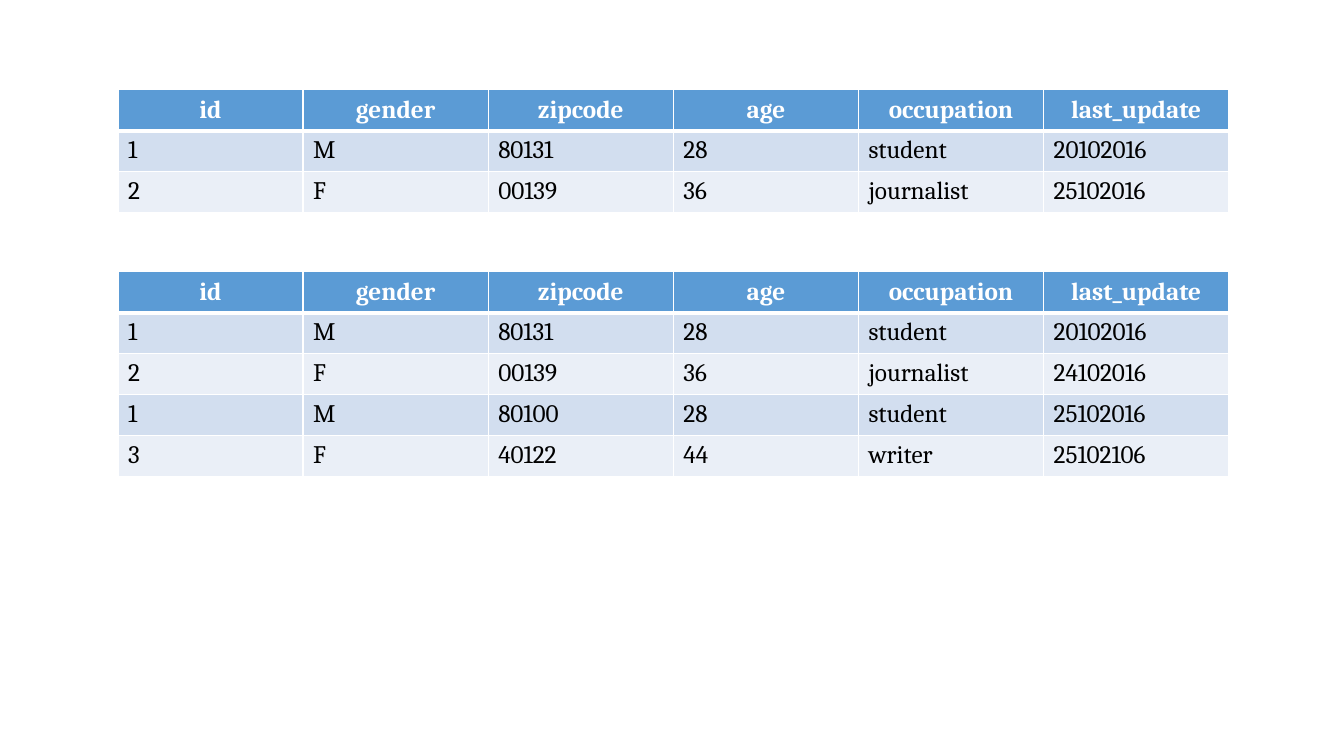
import pptx
import pptx.dml.color
import pptx.enum.text
import pptx.oxml
import pptx.oxml.ns
import pptx.util

Pt = pptx.util.Pt

COLORS = {
    "header": "5B9BD5",
    "odd_row": "D2DEEF",
    "even_row": "EAEFF7",
    "white": "FFFFFF",
    "black": "000000",
}
FONT = "Cambria"
LEFT, COL_WIDTH, ROW_HEIGHT = 84.24, 132.24, 29.2

HEADER = ("id", "gender", "zipcode", "age", "occupation", "last_update")
UPDATED_ROWS = [
    ("1", "M", "80131", "28", "student", "20102016"),
    ("2", "F", "00139", "36", "journalist", "25102016"),
]
HISTORY_ROWS = [
    ("1", "M", "80131", "28", "student", "20102016"),
    ("2", "F", "00139", "36", "journalist", "24102016"),
    ("1", "M", "80100", "28", "student", "25102016"),
    ("3", "F", "40122", "44", "writer", "25102106"),
]


def rgb(name):
    return pptx.dml.color.RGBColor.from_string(COLORS[name])


def set_borders(cell, widths):
    """Draw white cell borders; must run before the cell fill is set."""
    tcPr = cell._tc.get_or_add_tcPr()
    for side, width in widths.items():
        tcPr.append(pptx.oxml.parse_xml(
            f'<a:ln{side} {pptx.oxml.ns.nsdecls("a")} w="{Pt(width)}">'
            f'<a:solidFill><a:srgbClr val="{COLORS["white"]}"/></a:solidFill>'
            f'</a:ln{side}>'))


def format_cell(cell, text, row):
    is_header = row == 0
    set_borders(cell, {"L": 1, "R": 1,
                       "T": 3 if row == 1 else 1,
                       "B": 3 if is_header else 1})
    fill = "header" if is_header else "odd_row" if row % 2 else "even_row"
    cell.fill.solid()
    cell.fill.fore_color.rgb = rgb(fill)
    cell.text = text
    p = cell.text_frame.paragraphs[0]
    p.font.name = FONT
    p.font.size = Pt(18)
    p.font.bold = is_header
    p.font.color.rgb = rgb("white" if is_header else "black")
    if is_header:
        p.alignment = pptx.enum.text.PP_ALIGN.CENTER
        cell.vertical_anchor = pptx.enum.text.MSO_ANCHOR.MIDDLE


def add_user_table(s, top, records):
    rows = [HEADER] + records
    table = s.shapes.add_table(
        len(rows), len(HEADER), Pt(LEFT), Pt(top),
        Pt(COL_WIDTH * len(HEADER)), Pt(ROW_HEIGHT * len(rows))).table
    for column in table.columns:
        column.width = Pt(COL_WIDTH)
    for i, values in enumerate(rows):
        table.rows[i].height = Pt(ROW_HEIGHT)
        for j, text in enumerate(values):
            format_cell(table.cell(i, j), text, i)


def main():
    prs = pptx.Presentation()
    prs.slide_width, prs.slide_height = Pt(960), Pt(540)
    s = prs.slides.add_slide(prs.slide_layouts[6])
    add_user_table(s, 64.2, UPDATED_ROWS)
    add_user_table(s, 194.2, HISTORY_ROWS)
    prs.save("out.pptx")


if __name__ == "__main__":
    main()
